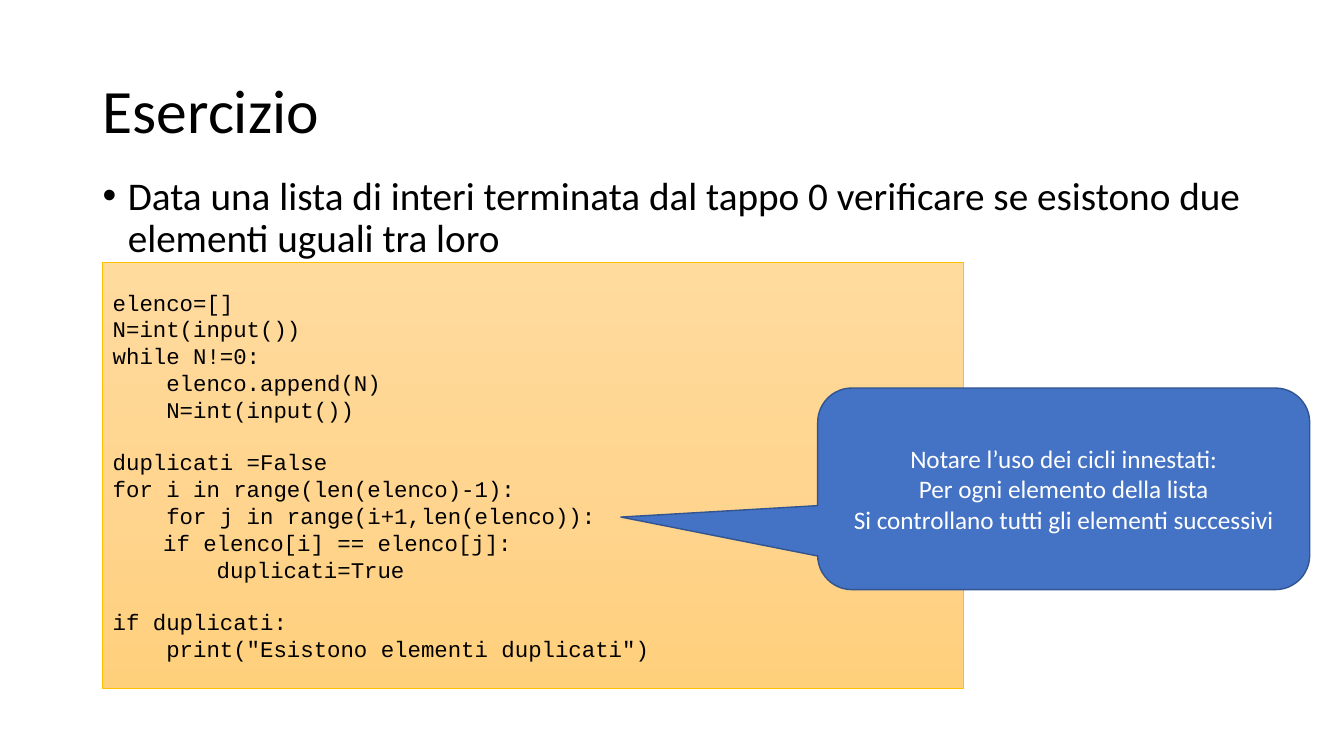
from copy import deepcopy
from dataclasses import dataclass

from pptx import Presentation
from pptx.dml.color import RGBColor as Color
from pptx.enum.shapes import MSO_SHAPE as Shape
from pptx.enum.text import MSO_ANCHOR as Anchor, PP_ALIGN as Align
from pptx.oxml.ns import qn
from pptx.util import Emu, Pt
from lxml.etree import SubElement

EMU_PER_PX = 9144  # 100 px to the inch


@dataclass(frozen=True)
class Theme:
    text: str = "000000"
    light: str = "FFFFFF"
    code_stops: tuple = ((0, "FFDB9E"), (0.5, "FFD590"), (1, "FFD07C"))
    code_line: str = "FFC000"
    note_fill: str = "4472C4"
    note_line: str = "325491"
    sans: str = "Calibri"
    mono: str = "Courier New"
    title_size: int = 44
    body_size: int = 28
    note_size: int = 18
    code_size: int = 16
    code_gap: float = 18.1


THEME = Theme()

TITLE = "Esercizio"
TASK = ("Data una lista di interi terminata dal tappo 0 verificare se esistono due "
        "elementi uguali tra loro")
CODE = """elenco=[]
N=int(input())
while N!=0:
    elenco.append(N)
    N=int(input())

duplicati =False
for i in range(len(elenco)-1):
    for j in range(i+1,len(elenco)):
\tif elenco[i] == elenco[j]:
\t    duplicati=True

if duplicati:
    print("Esistono elementi duplicati")"""
NOTE = """Notare l’uso dei cicli innestati:
Per ogni elemento della lista
Si controllano tutti gli elementi successivi"""


def px(*lengths):
    return [Emu(length * EMU_PER_PX) for length in lengths]


def add_bullet(para, indent):
    props = para._p.get_or_add_pPr()
    width = indent * EMU_PER_PX
    props.set("marL", str(width))
    props.set("indent", str(-width))
    SubElement(props, qn("a:buFont")).set("typeface", "Arial")
    SubElement(props, qn("a:buChar")).set("char", "•")


def write(frame, text, *, size, font=THEME.sans, color=THEME.text, align=Align.LEFT,
          anchor=Anchor.TOP, line_spacing=None, bullet_indent=0, gap=0):
    """Write one paragraph per line; an empty line becomes space before the next."""
    frame.word_wrap = True
    frame.vertical_anchor = anchor
    for block_index, block in enumerate(text.split("\n\n")):
        for line_index, line in enumerate(block.split("\n")):
            is_first = block_index == line_index == 0
            para = frame.paragraphs[0] if is_first else frame.add_paragraph()
            para.alignment = align
            if line_spacing:
                para.line_spacing = line_spacing
            if line_index == 0 and not is_first:
                para.space_before = Pt(gap)
            if bullet_indent:
                add_bullet(para, bullet_indent)
            span = para.add_run()
            span.text = line
            span.font.name = font
            span.font.size = Pt(size)
            span.font.color.rgb = Color.from_string(color)


def add_text(page, bounds, text, **text_format):
    box = page.shapes.add_textbox(*px(*bounds))
    write(box.text_frame, text, **text_format)


def add_panel(page, kind, bounds, line_color, line_width):
    panel = page.shapes.add_shape(kind, *px(*bounds))
    panel.shadow.inherit = False
    panel.line.color.rgb = Color.from_string(line_color)
    panel.line.width = Pt(line_width)
    return panel


def fill_downwards(panel, stops):
    panel.fill.gradient()
    panel.fill.gradient_angle = 270
    stop_list = panel._element.spPr.find(qn("a:gradFill")).find(qn("a:gsLst"))
    while len(stop_list) < len(stops):
        stop_list.append(deepcopy(stop_list[0]))
    for stop, (position, color) in zip(panel.fill.gradient_stops, stops):
        stop.position = position
        stop.color.rgb = Color.from_string(color)


def add_code(page, bounds, code):
    panel = add_panel(page, Shape.RECTANGLE, bounds, THEME.code_line, 0.5)
    fill_downwards(panel, THEME.code_stops)
    write(panel.text_frame, code, size=THEME.code_size, font=THEME.mono,
          anchor=Anchor.MIDDLE, gap=THEME.code_gap)


def add_callout(page, bounds, text, pointer):
    callout = add_panel(page, Shape.ROUNDED_RECTANGULAR_CALLOUT, bounds, THEME.note_line, 1)
    callout.fill.solid()
    callout.fill.fore_color.rgb = Color.from_string(THEME.note_fill)
    for index, value in enumerate(pointer):
        callout.adjustments[index] = value
    write(callout.text_frame, text, size=THEME.note_size, color=THEME.light,
          align=Align.CENTER, anchor=Anchor.MIDDLE)


def main():
    deck = Presentation()
    deck.slide_width, deck.slide_height = px(1333, 750)
    page = deck.slides.add_slide(deck.slide_layouts[6])
    add_text(page, (92, 40, 1150, 145), TITLE, size=THEME.title_size,
             anchor=Anchor.MIDDLE, line_spacing=0.9)
    add_text(page, (92, 170, 1150, 506), TASK, size=THEME.body_size,
             line_spacing=0.9, bullet_indent=25)
    add_code(page, (102, 260, 854, 423), CODE)
    add_callout(page, (811, 385, 488, 200), NOTE, pointer=(-0.9, 0.14, 0.17))
    deck.save("out.pptx")


if __name__ == "__main__":
    main()
